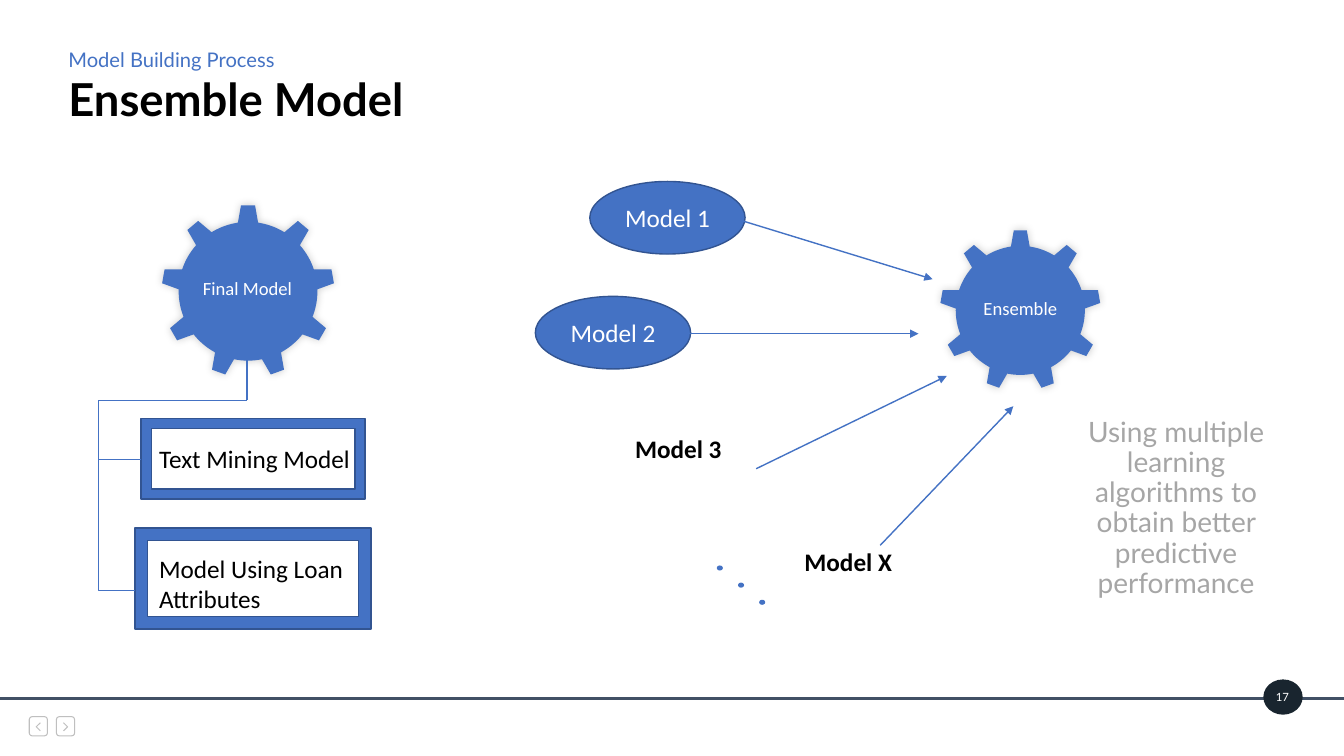
from lxml.etree import SubElement as Sub
from pptx import Presentation
from pptx.dml.color import RGBColor
from pptx.enum.shapes import MSO_CONNECTOR as Conn, MSO_SHAPE as Kind
from pptx.enum.text import MSO_ANCHOR as Anchor, PP_ALIGN as Align
from pptx.oxml.ns import qn
from pptx.util import Inches, Pt

BLUE = RGBColor(0x44, 0x72, 0xC4)
EDGE = RGBColor(0x32, 0x54, 0x91)
NAVY = RGBColor(0x19, 0x25, 0x2F)
SLATE = RGBColor(0x41, 0x50, 0x65)
GREY = RGBColor(0xA6, 0xA6, 0xA6)
PALE = RGBColor(0xBF, 0xBF, 0xBF)
WHITE = RGBColor(0xFF, 0xFF, 0xFF)
BLACK = RGBColor(0, 0, 0)

LEFT, MID = Align.LEFT, Align.CENTER
FONT = {"name": "Calibri", "size": Pt(18)}


def write(frame, words, color, align=LEFT, anchor=Anchor.TOP, space=1.0,
          inset=None, **font):
    frame.word_wrap = True
    frame.vertical_anchor = anchor
    if inset is not None:
        for side in ("left", "top", "right", "bottom"):
            setattr(frame, f"margin_{side}", Inches(inset))
    para = frame.paragraphs[0]
    para.alignment, para.line_spacing = align, space
    run = para.add_run()
    run.text = words
    for key, value in {**FONT, **font}.items():
        setattr(run.font, key, value)
    run.font.color.rgb = color


def label(slide, box, words, color, **style):
    area = slide.shapes.add_textbox(*map(Inches, box))
    write(area.text_frame, words, color, **style)


def shape(slide, kind, box, fill=BLUE, edge=None, width=1):
    item = slide.shapes.add_shape(kind, *map(Inches, box))
    item.shadow.inherit = False
    if fill is None:
        item.fill.background()
    else:
        item.fill.solid()
        item.fill.fore_color.rgb = fill
    if edge is None:
        item.line.fill.background()
    else:
        item.line.color.rgb = edge
        item.line.width = Pt(width)
    return item


def link(slide, start, end, color=BLUE, width=1, arrow=False, bent=False):
    kind = Conn.ELBOW if bent else Conn.STRAIGHT
    line = slide.shapes.add_connector(kind, *map(Inches, start + end))
    line.line.color.rgb = color
    line.line.width = Pt(width)
    props = line._element.spPr
    if bent:  # turn at the start: down first, then across
        guides = props.find(qn("a:prstGeom")).get_or_add_avLst()
        Sub(guides, qn("a:gd"), name="adj1", fmla="val 0")
    if arrow:
        Sub(props.find(qn("a:ln")), qn("a:tailEnd"), type="triangle")
    Sub(props, qn("a:effectLst"))


def gear(slide, box, area, words):
    item = shape(slide, Kind.GEAR_9, box)
    glow = Sub(item._element.spPr.find(qn("a:effectLst")), qn("a:outerShdw"),
               blurRad=str(Pt(6)), dist="0", dir="18900000")
    tint = Sub(glow, qn("a:srgbClr"), val="000000")
    Sub(tint, qn("a:alpha"), val="20000")
    label(slide, area, words, WHITE, align=MID, anchor=Anchor.MIDDLE,
          space=0.9, inset=0.02, size=Pt(13.3))


def oval(slide, left, top, words):
    item = shape(slide, Kind.OVAL, (left, top, 1.54, 0.72), edge=EDGE)
    write(item.text_frame, words, WHITE, align=MID, anchor=Anchor.MIDDLE)


def framed(slide, box, area, words):
    label(slide, area, words, BLACK)
    shape(slide, Kind.FRAME, box, edge=EDGE)


def button(slide, left, turn):
    box = shape(slide, Kind.ROUNDED_RECTANGLE, (left, 7.11, 0.18, 0.19),
                fill=None, edge=PALE, width=0.75)
    box.adjustments[0] = 0.16
    mid = left + 0.09
    tip, back = mid + 0.02 * turn, mid - 0.02 * turn
    path = slide.shapes.build_freeform(Inches(back), Inches(7.17), 1)
    path.add_line_segments([(Inches(tip), Inches(7.21)),
                            (Inches(back), Inches(7.25))], close=False)
    mark = path.convert_to_shape()
    mark.shadow.inherit = False
    mark.fill.background()
    mark.line.color.rgb = PALE
    mark.line.width = Pt(0.75)


def footer(slide):
    button(slide, 0.29, -1)
    button(slide, 0.56, 1)
    link(slide, (0, 6.93), (13.33, 6.93), SLATE, 1.5)
    shape(slide, Kind.OVAL, (12.53, 6.74, 0.39, 0.35), NAVY)
    label(slide, (12.56, 6.8, 0.32, 0.23), "17", WHITE, align=MID,
          anchor=Anchor.MIDDLE, inset=0, name="Lato", size=Pt(8.1))


def header(slide):
    style = {"anchor": Anchor.MIDDLE, "space": 0.9, "name": "Lato"}
    label(slide, (0.58, 0.8, 9.09, 0.43), "Ensemble Model", BLACK,
          size=Pt(32.4), bold=True, **style)
    label(slide, (0.58, 0.47, 9.09, 0.27), "Model Building Process", BLUE,
          size=Pt(14.4), **style)
    label(slide, (10.41, 3.8, 2.51, 2.49),
          "Using multiple learning algorithms to obtain better predictive "
          "performance", GREY, align=MID, size=Pt(20), **style)


def final(slide):
    framed(slide, (1.4, 4.15, 2.22, 0.8), (1.48, 4.35, 2.34, 0.4),
           "Text Mining Model")
    framed(slide, (1.34, 5.24, 2.34, 1), (1.48, 5.44, 2.34, 0.71),
           "Model Using Loan Attributes")
    gear(slide, (1.6, 2.03, 1.72, 1.72), (1.94, 2.43, 1.03, 0.89),
         "Final Model")
    # Tree from the gear to both frames
    for end in ((1.4, 4.56), (1.34, 5.86)):
        link(slide, (0.98, 3.97), end, bent=True)
    link(slide, (2.45, 3.48), (2.45, 3.97))
    link(slide, (0.98, 3.97), (2.45, 3.97), width=0.5)


def models(slide):
    gear(slide, (9.32, 2.28, 1.6, 1.6), (9.64, 2.66, 0.96, 0.82), "Ensemble")
    oval(slide, 5.85, 1.8, "Model 1")
    oval(slide, 5.31, 2.94, "Model 2")
    for left, top, words in ((6.2, 4.25, "Model 3"), (7.88, 5.37, "Model X")):
        label(slide, (left, top, 1.22, 0.4), words, BLACK, bold=True)
    # Arrows into the ensemble
    for start, end in (((7.36, 2.19), (9.25, 2.77)),
                       ((6.8, 3.31), (9.11, 3.31)),
                       ((7.5, 4.65), (9.39, 3.73)),
                       ((8.73, 5.41), (10.05, 4.03))):
        link(slide, start, end, arrow=True)
    # Dots for the models in between
    for step in range(3):
        shape(slide, Kind.OVAL,
              (7.11 + 0.21 * step, 5.61 + 0.17 * step, 0.06, 0.05))


def main():
    deck = Presentation()
    deck.slide_width, deck.slide_height = Inches(13.33), Inches(7.5)
    slide = deck.slides.add_slide(deck.slide_layouts[6])
    footer(slide)
    header(slide)
    final(slide)
    models(slide)
    deck.save("out.pptx")


if __name__ == "__main__":
    main()
